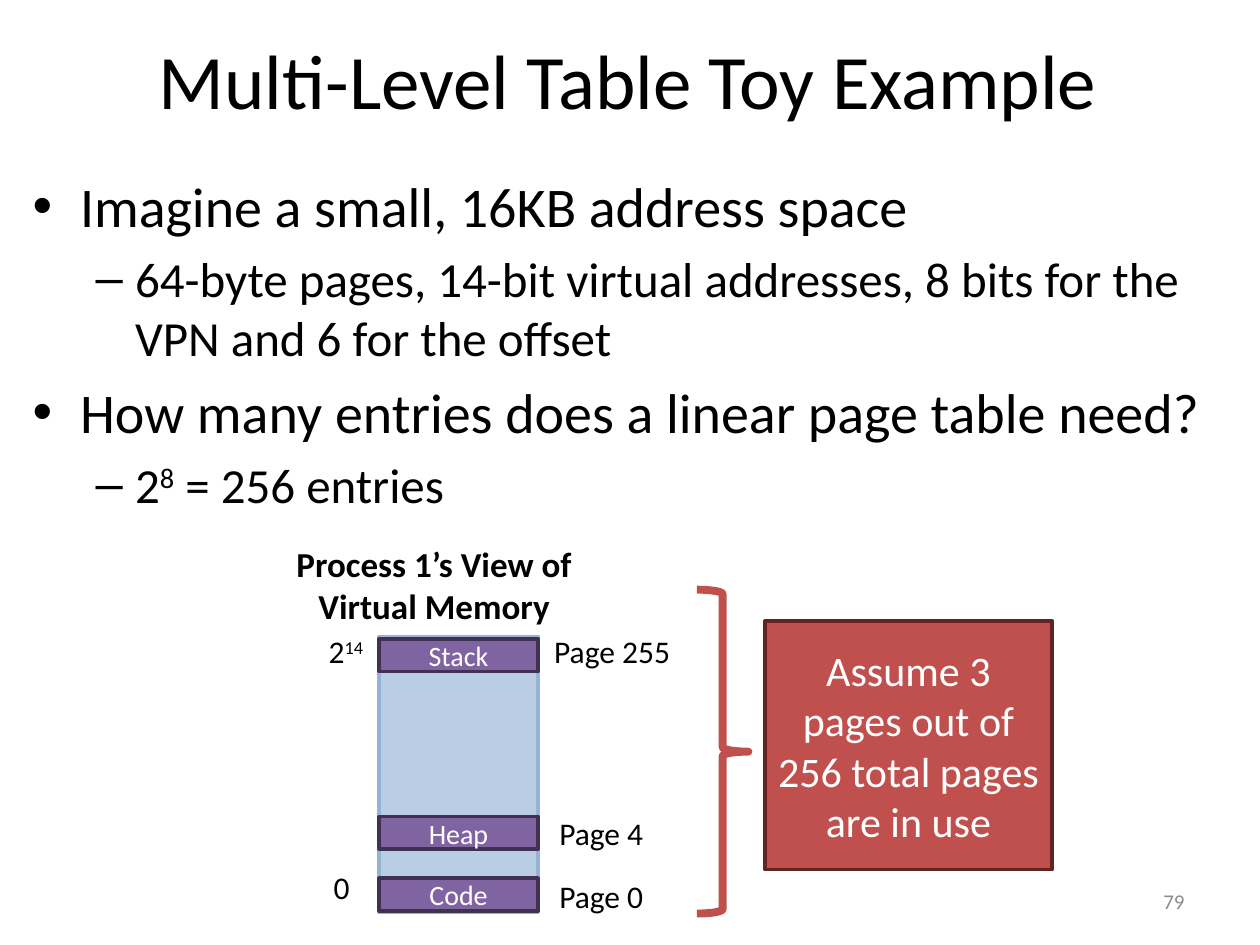
from pptx import Presentation
from pptx.dml.color import RGBColor
from pptx.enum.shapes import MSO_SHAPE as SHAPE
from pptx.enum.text import MSO_ANCHOR as ANCHOR, MSO_AUTO_SIZE as AUTO, PP_ALIGN as ALIGN
from pptx.util import Inches, Pt

FONT = "Calibri"
BLACK = RGBColor(0x00, 0x00, 0x00)
WHITE = RGBColor(0xFF, 0xFF, 0xFF)
GRAY = RGBColor(0x8C, 0x8C, 0x8C)
LIGHT_BLUE = RGBColor(0xB9, 0xCD, 0xE5)
BLUE = RGBColor(0x95, 0xB3, 0xD7)
PURPLE = RGBColor(0x80, 0x64, 0xA2)
DARK_PURPLE = RGBColor(0x40, 0x31, 0x52)
RED = RGBColor(0xC0, 0x50, 0x4D)
DARK_RED = RGBColor(0x63, 0x25, 0x23)

# Memory column geometry
COLUMN_X, COLUMN_W, PAGE_H = 3.01, 1.26, 0.26


def add_runs(p, text, size, color=BLACK, bold=None):
    """Fill a paragraph; pieces between ^ marks become superscript."""
    for i, piece in enumerate(text.split("^")):
        if not piece:
            continue
        r = p.add_run()
        r.text = piece
        r.font.name, r.font.size, r.font.bold = FONT, Pt(size), bold
        r.font.color.rgb = color
        if i % 2:
            r._r.get_or_add_rPr().set("baseline", "30000")


def place(sp, x, y, w, h):
    sp.left, sp.top, sp.width, sp.height = map(Inches, (x, y, w, h))


def fill_placeholder(sp, box, items):
    """Move a placeholder and fill it with (level, size, text) items."""
    place(sp, *box)
    tf = sp.text_frame
    tf.auto_size = AUTO.NONE
    for i, (level, size, text) in enumerate(items):
        p = tf.add_paragraph() if i else tf.paragraphs[0]
        p.level = level
        add_runs(p, text, size)


def add_label(slide, box, lines, size=18, color=BLACK, bold=None,
              align=ALIGN.LEFT, anchor=ANCHOR.TOP):
    tf = slide.shapes.add_textbox(*map(Inches, box)).text_frame
    tf.word_wrap = False
    tf.vertical_anchor = anchor
    for i, line in enumerate(lines):
        p = tf.add_paragraph() if i else tf.paragraphs[0]
        p.alignment = align
        add_runs(p, line, size, color, bold)


def add_block(slide, kind, box, fill, line, width=2, text="", size=16):
    sp = slide.shapes.add_shape(kind, *map(Inches, box))
    sp.shadow.inherit = False
    if fill is None:
        sp.fill.background()
    else:
        sp.fill.solid()
        sp.fill.fore_color.rgb = fill
    sp.line.color.rgb = line
    sp.line.width = Pt(width)
    if text:
        tf = sp.text_frame
        tf.word_wrap = True
        tf.vertical_anchor = ANCHOR.MIDDLE
        tf.paragraphs[0].alignment = ALIGN.CENTER
        add_runs(tf.paragraphs[0], text, size, WHITE)
    return sp


def add_memory(slide):
    add_block(slide, SHAPE.RECTANGLE, (COLUMN_X, 5.05, COLUMN_W, 2.19), LIGHT_BLUE, BLUE)
    add_label(slide, (2.24, 4.26, 2.41, 0.77), ["Process 1’s View of", "Virtual Memory"],
              20, bold=True, align=ALIGN.CENTER)
    # Address bounds
    add_label(slide, (2.55, 6.84, 0.33, 0.4), ["0"])
    add_label(slide, (2.51, 4.97, 0.5, 0.4), ["2^14^"])
    # Pages in use, each with its page number
    pages = [("Stack", 5.07, "Page 255", (4.3, 4.97, 1.13, 0.4)),
             ("Heap", 6.48, "Page 4", (4.34, 6.41, 0.88, 0.4)),
             ("Code", 6.97, "Page 0", (4.34, 6.91, 0.88, 0.4))]
    for name, y, number, label_box in pages:
        add_block(slide, SHAPE.RECTANGLE, (COLUMN_X, y, COLUMN_W, PAGE_H),
                  PURPLE, DARK_PURPLE, text=name)
        add_label(slide, label_box, [number])


def main():
    prs = Presentation()
    prs.slide_width, prs.slide_height = Inches(10), Inches(7.5)
    slide = prs.slides.add_slide(prs.slide_layouts[1])

    # Title and bullets
    fill_placeholder(slide.shapes.title, (0.05, 0, 9.87, 1.25),
                     [(0, 44, "Multi-Level Table Toy Example")])
    fill_placeholder(slide.placeholders[1], (0.16, 1.31, 9.63, 2.96), [
        (0, 32, "Imagine a small, 16KB address space"),
        (1, 28, "64-byte pages, 14-bit virtual addresses, 8 bits for the VPN and 6 for the offset"),
        (0, 32, "How many entries does a linear page table need?"),
        (1, 28, "2^8^ = 256 entries"),
    ])

    # Slide number
    add_label(slide, (7.17, 6.95, 2.33, 0.4), ["79"], 12, GRAY,
              align=ALIGN.RIGHT, anchor=ANCHOR.MIDDLE)

    add_memory(slide)

    # Brace and callout
    brace = add_block(slide, SHAPE.LEFT_BRACE, (5.53, 4.68, 0.41, 2.57), None, RED, 4.5)
    brace.rotation = 180
    add_block(slide, SHAPE.FLOWCHART_PROCESS, (6.07, 4.93, 2.28, 1.97), RED, DARK_RED,
              text="Assume 3 pages out of 256 total pages are in use", size=24)

    prs.save("out.pptx")


if __name__ == "__main__":
    main()
